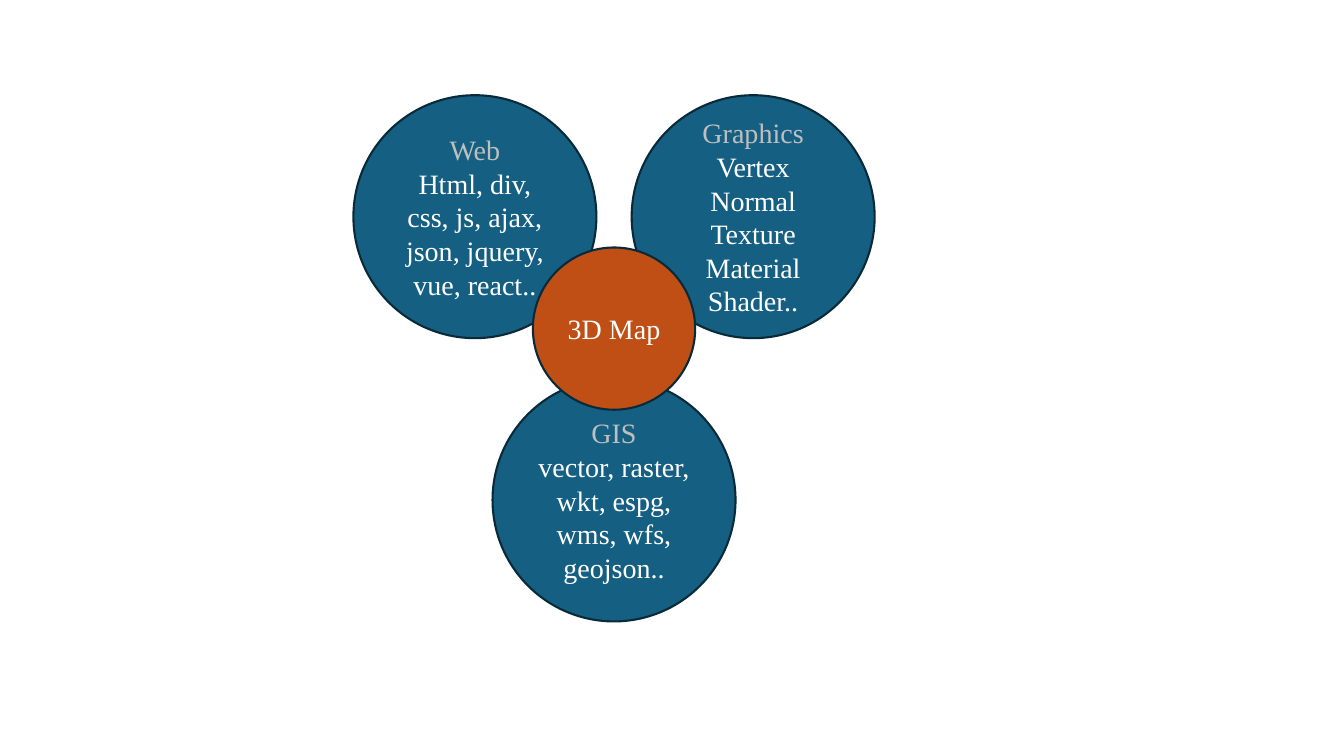
"""Build a slide of three skill circles that meet in a central one."""
from pptx import Presentation
from pptx.dml.color import RGBColor
from pptx.enum.shapes import MSO_SHAPE
from pptx.enum.text import MSO_ANCHOR, PP_ALIGN
from pptx.util import Inches, Pt

FONT = "Times New Roman"
BLUE, ORANGE, OUTLINE = "156082", "C04F15", "092A39"
GREY, WHITE = "BFBFBF", "FFFFFF"

CENTER_X, UPPER_Y, HUB_Y, LOWER_Y = 6.09, 2.15, 3.26, 4.96
SPREAD = 1.38
SKILL_SIZE, HUB_SIZE = 2.41, 1.61

SKILLS = [
    ("GIS", ["vector, raster, wkt, espg, wms, wfs, geojson.."], CENTER_X, LOWER_Y),
    ("Web", ["Html, div, css, js, ajax, json, jquery, vue, react.."],
     CENTER_X - SPREAD, UPPER_Y),
    ("Graphics", ["Vertex", "Normal", "Texture", "Material", "Shader.."],
     CENTER_X + SPREAD, UPPER_Y),
]
HUB = "3D Map"


def color(value):
    return RGBColor.from_string(value)


def add_circle(slide, center_x, center_y, size, fill, lines):
    circle = slide.shapes.add_shape(
        MSO_SHAPE.OVAL, Inches(center_x - size / 2), Inches(center_y - size / 2),
        Inches(size), Inches(size))
    circle.shadow.inherit = False
    circle.fill.solid()
    circle.fill.fore_color.rgb = color(fill)
    circle.line.color.rgb = color(OUTLINE)
    circle.line.width = Pt(1.5)
    frame = circle.text_frame
    frame.word_wrap = True
    frame.vertical_anchor = MSO_ANCHOR.MIDDLE
    frame.text = "\n".join(text for text, _ in lines)
    for paragraph, (_, text_color) in zip(frame.paragraphs, lines):
        paragraph.alignment = PP_ALIGN.CENTER
        font = paragraph.runs[0].font
        font.name = FONT
        font.size = Pt(20)
        font.color.rgb = color(text_color)


def main():
    deck = Presentation()
    deck.slide_width, deck.slide_height = Inches(13.33), Inches(7.5)
    slide = deck.slides.add_slide(deck.slide_layouts.get_by_name("Blank"))
    for heading, topics, center_x, center_y in SKILLS:
        lines = [(heading, GREY)] + [(topic, WHITE) for topic in topics]
        add_circle(slide, center_x, center_y, SKILL_SIZE, BLUE, lines)
    add_circle(slide, CENTER_X, HUB_Y, HUB_SIZE, ORANGE, [(HUB, WHITE)])
    deck.save("out.pptx")


if __name__ == "__main__":
    main()
